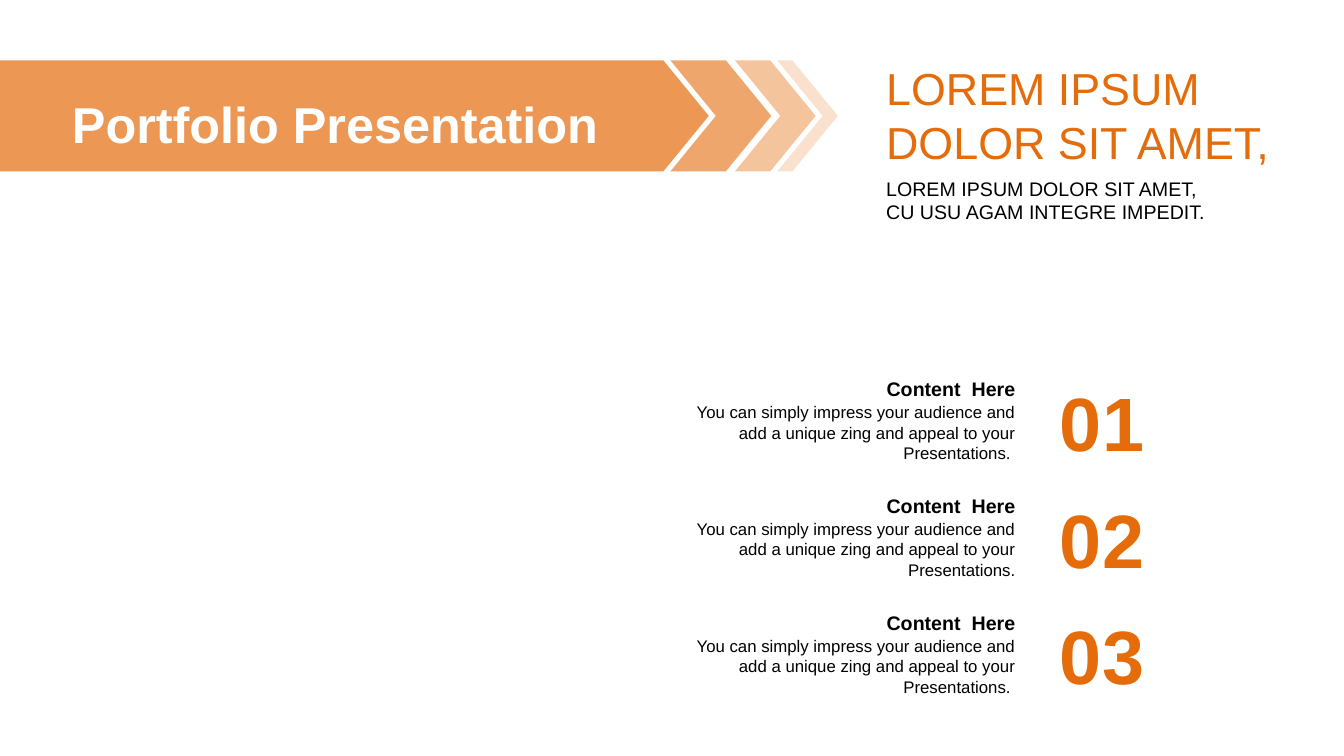
from lxml.etree import SubElement
from pptx import Presentation
from pptx.dml.color import RGBColor
from pptx.enum.shapes import MSO_SHAPE as Preset
from pptx.enum.text import MSO_ANCHOR as Anchor, MSO_AUTO_SIZE as AutoSize, PP_ALIGN as Align
from pptx.oxml.ns import qn
from pptx.util import Inches, Pt

ORANGE = RGBColor(0xE4, 0x6C, 0x0A)
BLACK = RGBColor(0x00, 0x00, 0x00)
WHITE = RGBColor(0xFF, 0xFF, 0xFF)

presentation = Presentation()
presentation.slide_width = Inches(13.33)
presentation.slide_height = Inches(7.5)
slide = presentation.slides.add_slide(presentation.slide_layouts[5])


def write(shape, text, size, color, bold=False, align=Align.LEFT, anchor=Anchor.MIDDLE):
    text_frame = shape.text_frame
    text_frame.text = text
    text_frame.word_wrap = True
    text_frame.auto_size = AutoSize.NONE
    text_frame.vertical_anchor = anchor
    for paragraph in text_frame.paragraphs:
        paragraph.alignment = align
        for run in paragraph.runs:
            run.font.name = "Arial"
            run.font.size = Pt(size)
            run.font.bold = bold
            run.font.color.rgb = color


def add_text(left, top, width, height, *args, **options):
    box = slide.shapes.add_textbox(Inches(left), Inches(top), Inches(width), Inches(height))
    write(box, *args, **options)
    return box


add_text(8.69, 1.7, 4.05, 0.57, "LOREM IPSUM DOLOR SIT AMET,\nCU USU AGAM INTEGRE IMPEDIT.", 14, BLACK)
add_text(8.69, 0.55, 4.05, 1.18, "LOREM IPSUM\nDOLOR SIT AMET,", 32, ORANGE)

description = "You can simply impress your audience and add a unique zing and appeal to your Presentations."
ROW_PITCH = 1.16
for row, ending in enumerate((" ", "", " ")):
    offset = row * ROW_PITCH
    number = add_text(10.34, 3.67 + offset, 1.18, 1.01, f"{row + 1:02}", 54, ORANGE,
                      bold=True, align=Align.CENTER)
    number.text_frame.margin_left = number.text_frame.margin_right = Inches(0.12)
    add_text(6.68, 3.69 + offset, 3.49, 0.34, "Content  Here", 14, BLACK,
             bold=True, align=Align.RIGHT)
    add_text(6.69, 3.94 + offset, 3.48, 0.71, description + ending, 12, BLACK,
             align=Align.RIGHT, anchor=Anchor.TOP)

BANNER_HEIGHT = 1.1
POINT_DEPTH = 0.45
banner_parts = [
    (Preset.CHEVRON, 7.29, 0.8, 40),
    (Preset.PENTAGON, 0, 7.03, 70),
    (Preset.CHEVRON, 7.71, 0.6, 20),
    (Preset.CHEVRON, 6.65, 1, 60),
]
for preset, left, width, opacity in banner_parts:
    arrow = slide.shapes.add_shape(preset, Inches(left), Inches(0.6), Inches(width), Inches(BANNER_HEIGHT))
    arrow.adjustments[0] = POINT_DEPTH / min(width, BANNER_HEIGHT)
    arrow.shadow.inherit = False
    arrow.line.fill.background()
    arrow.fill.solid()
    arrow.fill.fore_color.rgb = ORANGE
    fill_color = arrow.element.spPr.find(qn("a:solidFill")).find(qn("a:srgbClr"))
    SubElement(fill_color, qn("a:alpha"), val=str(opacity * 1000))

title = slide.shapes.title
title.left, title.top = Inches(0.52), Inches(0.42)
title.width, title.height = Inches(5.61), Inches(1.45)
write(title, "Portfolio Presentation", 36, WHITE, bold=True, align=Align.CENTER)
title.text_frame.margin_top = Inches(0.15)
title.text_frame.paragraphs[0].line_spacing = 1.1
title.element.getparent().append(title.element)

presentation.save("out.pptx")
